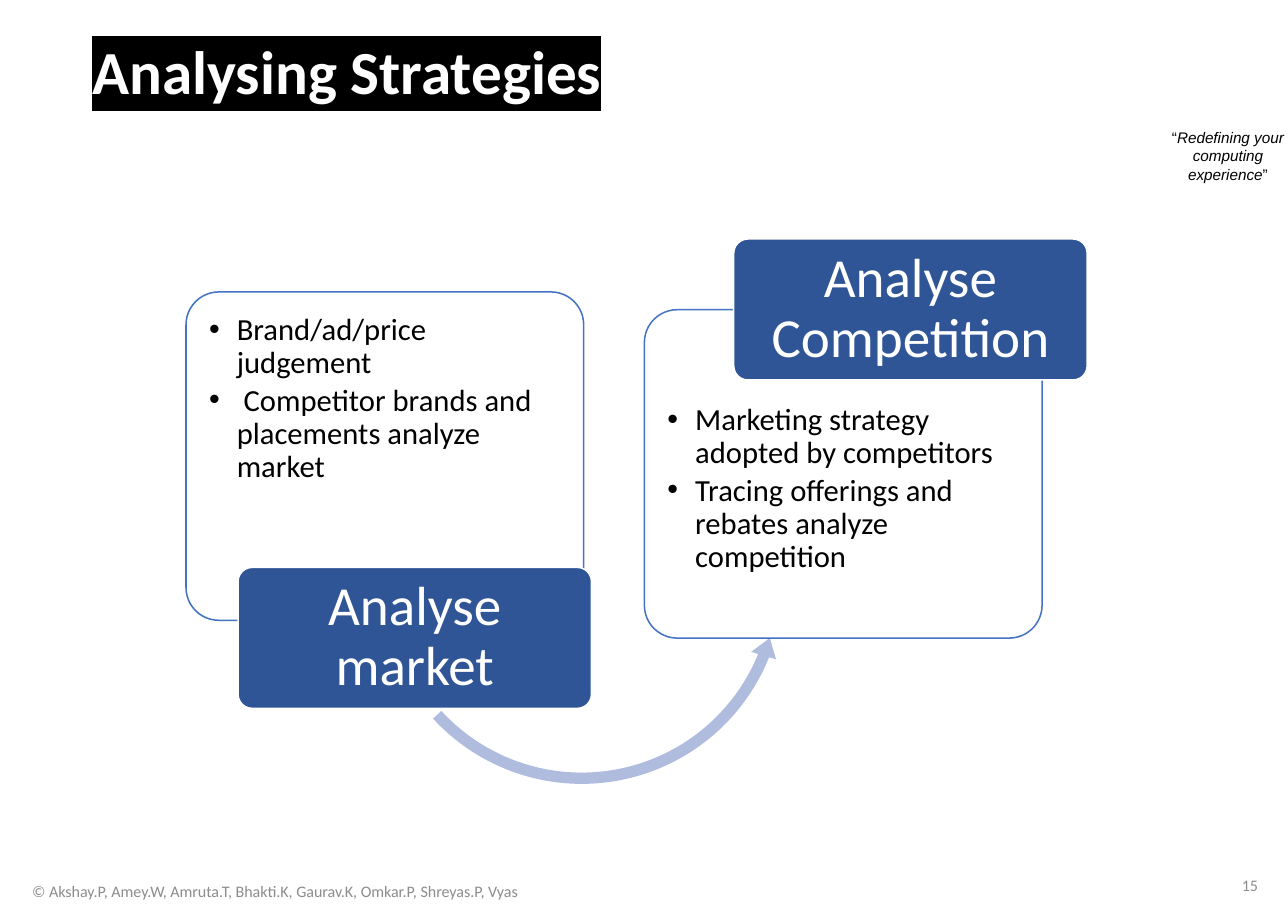
from dataclasses import dataclass

from lxml.etree import SubElement
from pptx import Presentation
from pptx.dml.color import RGBColor as RGB
from pptx.enum.shapes import MSO_SHAPE as SHAPE
from pptx.enum.text import MSO_ANCHOR as ANCHOR, MSO_AUTO_SIZE as AUTO, PP_ALIGN as ALIGN
from pptx.oxml.ns import qn
from pptx.util import Cm, Pt


@dataclass(frozen=True)
class Theme:
    """Colours, fonts and type sizes of the slide."""
    black: str = "000000"
    white: str = "FFFFFF"
    grey: str = "8C8C8C"
    outline: str = "4472C4"
    label: str = "2F5597"
    arrow: str = "B0BCDE"
    font: str = "Calibri"
    motto_font: str = "Arial"
    title_pt: float = 40
    label_pt: float = 36
    list_pt: float = 20
    footer_pt: float = 10.5
    motto_pt: float = 10


T = Theme()


def assign(obj, values):
    """Set each attribute named in a dict of format values."""
    for name, value in values.items():
        setattr(obj, name, value)


def place(sp, x, y, w, h):
    """Move and size a shape, in centimetres."""
    assign(sp, {"left": Cm(x), "top": Cm(y), "width": Cm(w), "height": Cm(h)})


def frame(sp, anchor=ANCHOR.TOP, mx=0.25, my=0.13):
    """Prepare a wrapping text frame with margins in centimetres."""
    tf = sp.text_frame
    assign(tf, {"word_wrap": True, "auto_size": AUTO.NONE, "vertical_anchor": anchor,
                "margin_left": Cm(mx), "margin_right": Cm(mx),
                "margin_top": Cm(my), "margin_bottom": Cm(my)})
    return tf


def add_run(p, text, size, color, name=T.font, **style):
    """Add a formatted run to a paragraph."""
    r = p.add_run()
    r.text = text
    assign(r.font, {"size": Pt(size), "name": name, **style})
    r.font.color.rgb = RGB.from_string(color)
    return r


def add_title(s, text):
    """Fill the title placeholder with highlighted text."""
    place(s.shapes.title, 1.88, 0.64, 16.81, 1.96)
    p = frame(s.shapes.title).paragraphs[0]
    p.alignment = ALIGN.LEFT
    r = add_run(p, text, T.title_pt, T.white, bold=True)
    fill = r.font._element.find(qn("a:solidFill"))
    highlight = SubElement(r.font._element, qn("a:highlight"))
    SubElement(highlight, qn("a:srgbClr")).set("val", T.black)
    fill.addnext(highlight)


def add_text(s, box, align, anchor=ANCHOR.MIDDLE):
    """Add a text box and return its first paragraph."""
    tb = s.shapes.add_textbox(*map(Cm, box))
    p = frame(tb, anchor).paragraphs[0]
    p.alignment = align
    return p


def add_shape(s, kind, box, fill, line=None, adjust=(0.1,)):
    """Add a flat preset shape with its adjustments."""
    sp = s.shapes.add_shape(kind, *map(Cm, box))
    sp.shadow.inherit = False
    for i, value in enumerate(adjust):
        sp.adjustments[i] = value
    sp.fill.solid()
    sp.fill.fore_color.rgb = RGB.from_string(fill)
    if line:
        sp.line.color.rgb = RGB.from_string(line)
        sp.line.width = Pt(1)
    else:
        sp.line.fill.background()
    return sp


def add_panel(s, ph, x, y, list_dy, items):
    """Add an outlined panel with a list placeholder on top of it."""
    panel = add_shape(s, SHAPE.ROUNDED_RECTANGLE, (x, y, 9.17, 7.57), T.white, T.outline)
    color = panel.fill._xPr.find(qn("a:solidFill"))[0]
    SubElement(color, qn("a:alpha")).set("val", "90000")
    panel._element.addnext(ph._element)
    place(ph, x + 0.17, y + list_dy, 8.81, 5.59)
    tf = frame(ph, mx=0.36, my=0.36)
    for i, item in enumerate(items):
        p = tf.add_paragraph() if i else tf.paragraphs[0]
        pPr = p._p.get_or_add_pPr()
        pPr.set("marL", str(Cm(0.64)))
        pPr.set("indent", str(Cm(-0.64)))
        assign(p, {"line_spacing": 0.9, "space_before": Pt(0), "space_after": Pt(3)})
        add_run(p, item, T.list_pt, T.black)


def add_label(s, x, y, text):
    """Add a filled label with large centred text."""
    sp = add_shape(s, SHAPE.ROUNDED_RECTANGLE, (x, y, 8.15, 3.25), T.label, T.white)
    p = frame(sp, ANCHOR.MIDDLE, 0.27, 0.22).paragraphs[0]
    assign(p, {"alignment": ALIGN.CENTER, "line_spacing": 0.9})
    add_run(p, text, T.label_pt, T.white)


def add_arrow(s):
    """Add the curved arrow from the first label to the second panel."""
    adjust = (0.027, 3.271, 21.026, 90.245, 0.031)
    sp = add_shape(s, SHAPE.LEFT_CIRCULAR_ARROW, (8.59, 8.59, 9.65, 9.65), T.arrow, adjust=adjust)
    sp.rotation = 347


def add_motto(s):
    """Add the motto at the right edge."""
    p = add_text(s, (26.59, 2.82, 3.45, 1.55), ALIGN.CENTER, ANCHOR.TOP)
    for text, italic in (("“", False), ("Redefining your computing experience", True), ("”", False)):
        add_run(p, text, T.motto_pt, T.black, T.motto_font, italic=italic)


def add_footer(s):
    """Add the copyright line and the page number."""
    credit = "© Akshay.P, Amey.W, Amruta.T, Bhakti.K, Gaurav.K, Omkar.P, Shreyas.P, Vyas"
    for box, align, text in (((0, 20.09, 12.7, 0.91), ALIGN.CENTER, credit),
                             ((22.58, 19.84, 6.68, 1.12), ALIGN.RIGHT, "15")):
        add_run(add_text(s, box, align), text, T.footer_pt, T.grey)


def main():
    """Build and save the slide."""
    prs = Presentation()
    assign(prs, {"slide_width": Cm(29.7), "slide_height": Cm(21)})
    s = prs.slides.add_slide(prs.slide_layouts[3])
    market, competition = s.placeholders[1], s.placeholders[2]
    add_motto(s)
    add_footer(s)
    add_panel(s, market, 4.29, 6.73, 0.15,
              ["Brand/ad/price judgement", " Competitor brands and placements analyze market"])
    add_arrow(s)
    add_label(s, 5.49, 13.08, "Analyse market")
    add_panel(s, competition, 14.86, 7.14, 1.81,
              ["Marketing strategy adopted by competitors",
               "Tracing offerings and rebates analyze competition"])
    add_label(s, 16.92, 5.51, "Analyse Competition")
    add_title(s, "Analysing Strategies")
    prs.save("out.pptx")


if __name__ == "__main__":
    main()
